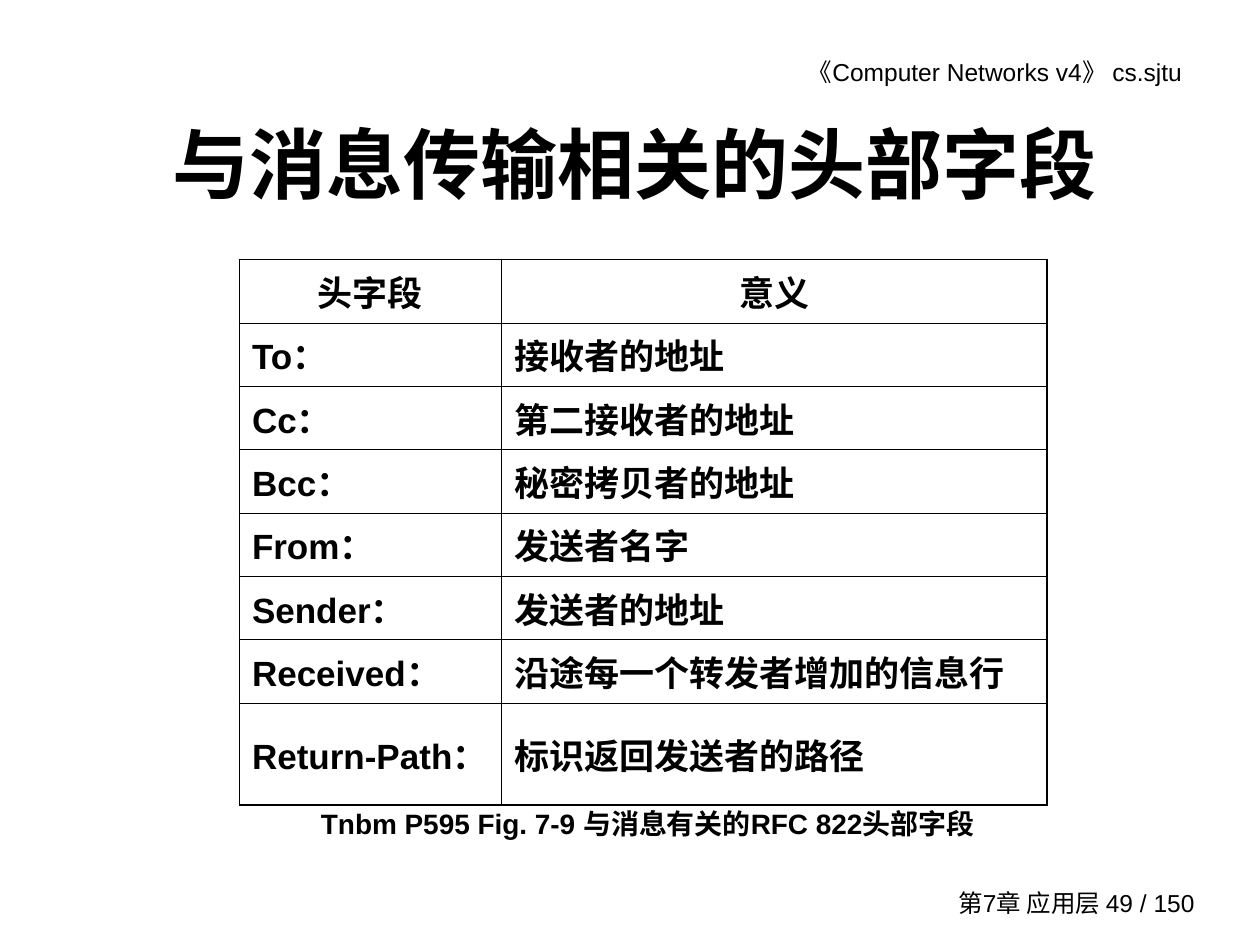
from typing import NamedTuple

from lxml.etree import SubElement
from pptx import Presentation
from pptx.dml.color import RGBColor
from pptx.enum.text import MSO_ANCHOR, PP_ALIGN
from pptx.oxml.ns import qn
from pptx.util import Inches, Pt

BLACK = "000000"
CJK = "Noto Sans CJK SC"
THIN, THICK = 0.45, 1.08
COLS = [2.08, 4.33]
HIGH, LAST = 4.33, 0.81


class Field(NamedTuple):
    name: str
    note: str


FIELDS = [
    Field("头字段", "意义"),
    Field("To：", "接收者的地址"),
    Field("Cc：", "第二接收者的地址"),
    Field("Bcc：", "秘密拷贝者的地址"),
    Field("From：", "发送者名字"),
    Field("Sender：", "发送者的地址"),
    Field("Received：", "沿途每一个转发者增加的信息行"),
    Field("Return-Path：", "标识返回发送者的路径"),
]


def color(value: str) -> RGBColor:
    return RGBColor.from_string(value)


def write(frame, text: str, size: float = 20, bold: bool = True,
          align=PP_ALIGN.LEFT, font: str = "Arial") -> None:
    """Fill a text frame with one formatted paragraph."""
    frame.word_wrap = True
    para = frame.paragraphs[0]
    para.alignment = align
    run = para.add_run()
    run.text = text
    run.font.size = Pt(size)
    run.font.bold = bold
    run.font.name = font
    run.font.color.rgb = color(BLACK)
    SubElement(run.font._element, qn("a:ea"), typeface=CJK)


def place(shape, left: float, top: float, width: float, height: float) -> None:
    shape.left, shape.top = Inches(left), Inches(top)
    shape.width, shape.height = Inches(width), Inches(height)


def label(slide, box: tuple, text: str, right: float = 0.1, **style) -> None:
    """Add a text box whose right inset can be widened."""
    frame = slide.shapes.add_textbox(*map(Inches, box)).text_frame
    frame.margin_right = Inches(right)
    frame.vertical_anchor = MSO_ANCHOR.TOP
    write(frame, text, **style)


def border(cell, sides: dict[str, float]) -> None:
    props = cell._tc.get_or_add_tcPr()
    for spot, (side, width) in enumerate(sides.items()):
        line = SubElement(props, qn(f"a:ln{side}"), w=str(int(Pt(width))))
        fill = SubElement(line, qn("a:solidFill"))
        SubElement(fill, qn("a:srgbClr"), val=BLACK)
        props.insert(spot, line)


def grid(slide, left: float, top: float, fields: list[Field]) -> None:
    """Draw the field table with a thick outer frame."""
    end = len(fields) - 1
    step = (HIGH - LAST) / end
    table = slide.shapes.add_table(
        len(fields), len(COLS), Inches(left), Inches(top),
        Inches(sum(COLS)), Inches(HIGH)).table
    table.first_row = table.horz_banding = False
    for col, width in zip(table.columns, COLS):
        col.width = Inches(width)
    for r, field in enumerate(fields):
        table.rows[r].height = Inches(LAST if r == end else step)
        for c, text in enumerate(field):
            cell = table.cell(r, c)
            cell.fill.background()
            cell.vertical_anchor = MSO_ANCHOR.MIDDLE
            border(cell, {
                "L": THICK if c == 0 else THIN,
                "R": THICK if c == 1 else THIN,
                "T": THICK if r == 0 else THIN,
                "B": THICK if r == end else THIN,
            })
            write(cell.text_frame, text,
                  align=PP_ALIGN.LEFT if r else PP_ALIGN.CENTER)


def main() -> None:
    deck = Presentation()
    deck.slide_width, deck.slide_height = Inches(10), Inches(7.5)
    slide = deck.slides.add_slide(deck.slide_layouts[5])

    title = slide.shapes.title
    place(title, 0.79, 0.67, 8.5, 1.25)
    title.text_frame.vertical_anchor = MSO_ANCHOR.MIDDLE
    write(title.text_frame, "与消息传输相关的头部字段", size=44,
          align=PP_ALIGN.CENTER, font=CJK)

    label(slide, (5.28, 0.4, 4.31, 0.34), "《Computer Networks v4》 cs.sjtu",
          right=0.21, size=14, bold=False, align=PP_ALIGN.RIGHT)
    grid(slide, 1.9, 2.06, FIELDS)
    label(slide, (1.64, 6.35, 7, 0.37),
          "Tnbm P595 Fig. 7-9 与消息有关的RFC 822头部字段",
          size=16, align=PP_ALIGN.CENTER)
    label(slide, (7.32, 7, 2.26, 0.33), "第7章 应用层 49 / 150",
          size=14, bold=False, align=PP_ALIGN.RIGHT)
    deck.save("out.pptx")


if __name__ == "__main__":
    main()
